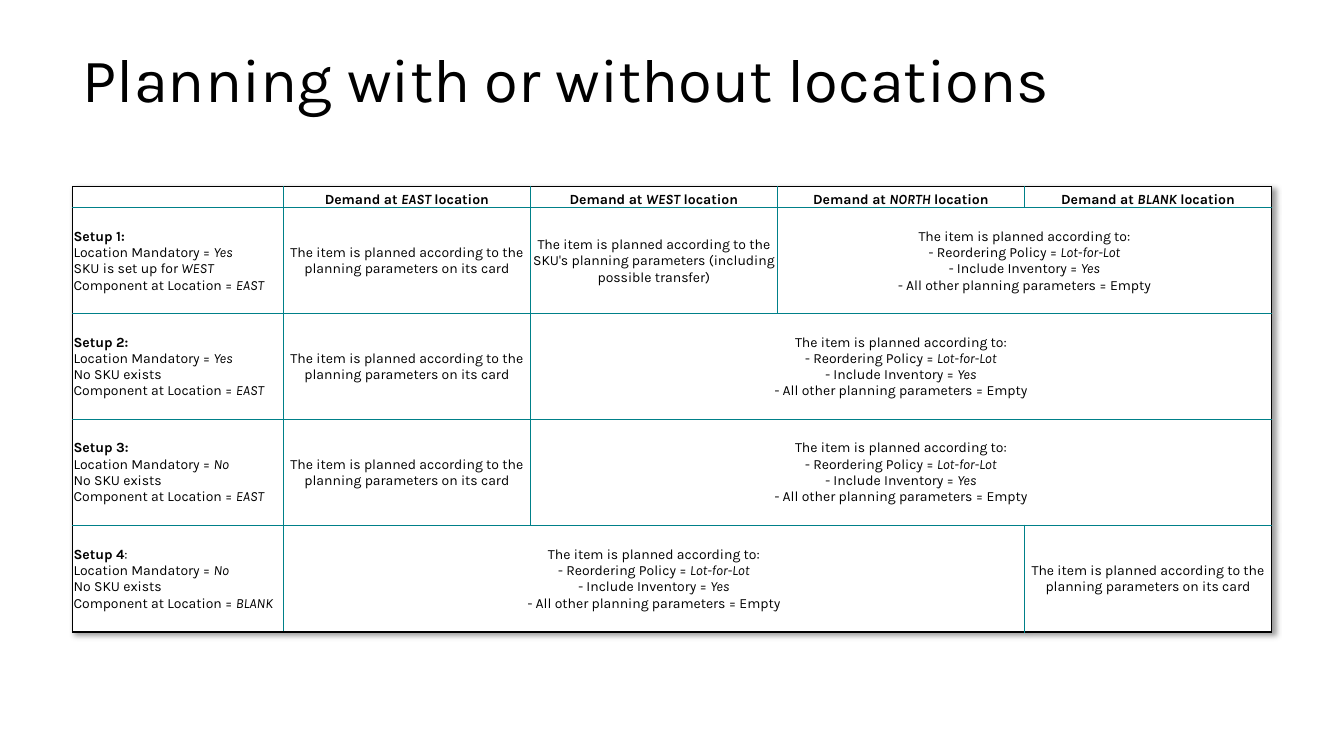
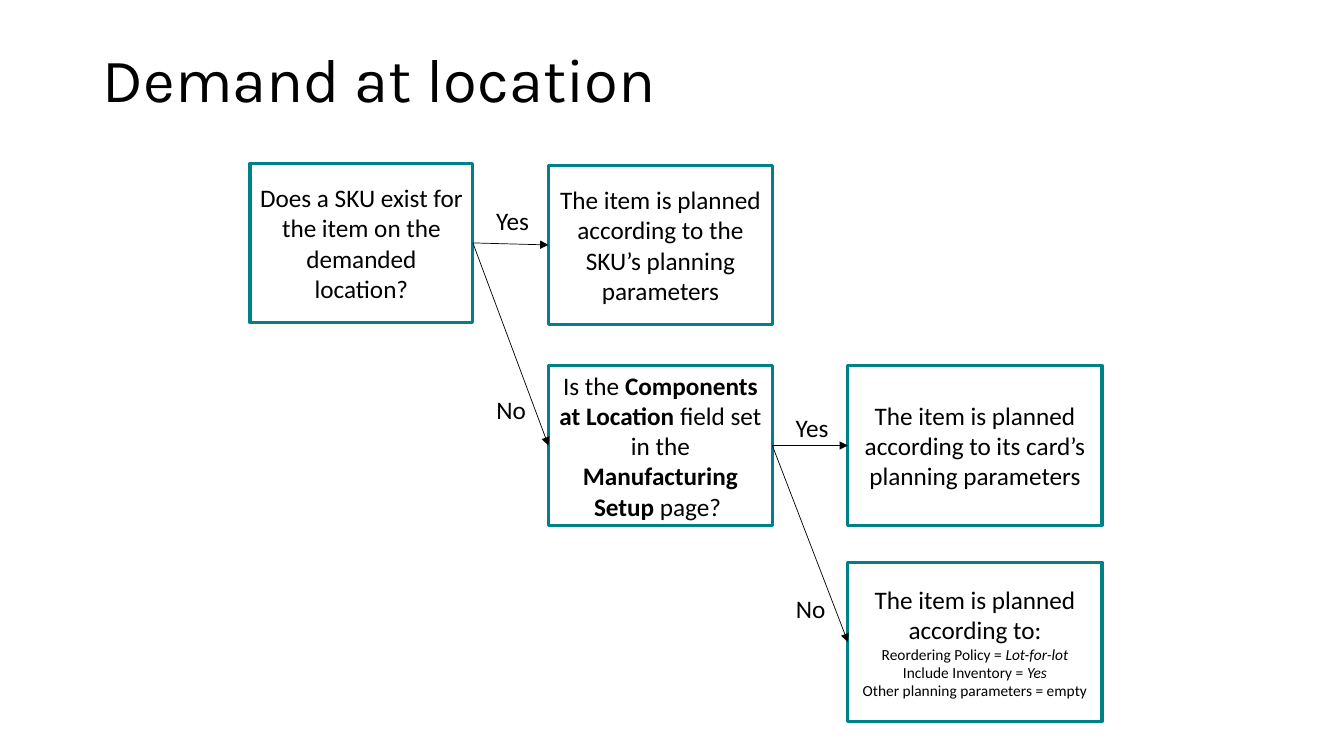
import pptx
import pptx.dml.color
import pptx.enum.shapes
import pptx.enum.text
import pptx.oxml
import pptx.oxml.ns
import pptx.util
from pptx.util import Inches

BLACK = pptx.dml.color.RGBColor(0x00, 0x00, 0x00)
WHITE = pptx.dml.color.RGBColor(0xFF, 0xFF, 0xFF)
TEAL = pptx.dml.color.RGBColor(0x00, 0x80, 0x89)
HEADING_FONT = "Karla"
BODY_FONT = "Calibri"
CENTER = pptx.enum.text.PP_ALIGN.CENTER
LEFT = pptx.enum.text.PP_ALIGN.LEFT
MIDDLE = pptx.enum.text.MSO_ANCHOR.MIDDLE
BOTTOM = pptx.enum.text.MSO_ANCHOR.BOTTOM
RIGHT_SITE, LEFT_SITE = 3, 1

# Planning table: "*" switches bold, "_" switches italic
COLUMN_WIDTHS = [2.09, 2.45, 2.45, 2.45, 2.45]
ROW_HEIGHTS = [0.21, 1.05, 1.05, 1.05, 1.06]
BY_CARD = "The item is planned according to the planning parameters on its card"
BY_SKU = ("The item is planned according to the SKU's planning parameters "
          "(including possible transfer)")
BY_DEFAULT = ("The item is planned according to:\n- Reordering Policy = _Lot-for-Lot_\n"
              "- Include Inventory = _Yes_\n- All other planning parameters = Empty")


def setup(heading, mandatory, sku, component):
    return (f"{heading}\nLocation Mandatory = _{mandatory}_\n{sku}\n"
            f"Component at Location = _{component}_")


# Each row lists (text, columns spanned)
PLANNING_ROWS = [
    [("", 1)] + [(f"*Demand at _{place}_ location*", 1)
                 for place in ("EAST", "WEST", "NORTH", "BLANK")],
    [(setup("*Setup 1:*", "Yes", "SKU is set up for _WEST_", "EAST"), 1),
     (BY_CARD, 1), (BY_SKU, 1), (BY_DEFAULT, 2)],
    [(setup("*Setup 2:*", "Yes", "No SKU exists", "EAST"), 1),
     (BY_CARD, 1), (BY_DEFAULT, 3)],
    [(setup("*Setup 3:*", "No", "No SKU exists", "EAST"), 1),
     (BY_CARD, 1), (BY_DEFAULT, 3)],
    [(setup("*Setup 4*:", "No", "No SKU exists", "BLANK"), 1),
     (BY_DEFAULT, 3), (BY_CARD, 1)],
]


# Text
def style_font(font, name, size):
    font.name = name
    font.size = pptx.util.Pt(size)
    font.color.rgb = BLACK


def write_marked(paragraph, marked):
    """Write text in which * and _ switch bold and italic."""
    bold = italic = False
    piece = ""
    for char in marked + "\0":
        if char not in "*_\n\0":
            piece += char
            continue
        if piece:
            run = paragraph.add_run()
            run.text = piece
            run.font.bold, run.font.italic = bold, italic
            piece = ""
        if char == "\n":
            paragraph.add_line_break()
        bold ^= char == "*"
        italic ^= char == "_"


def add_paragraph(paragraph, marked, name, size, align=CENTER):
    style_font(paragraph.font, name, size)
    paragraph.alignment = align
    write_marked(paragraph, marked)


def add_titled_slide(deck, title, left):
    slide = deck.slides.add_slide(deck.slide_layouts[5])
    heading = slide.shapes.title
    heading.left, heading.top = Inches(left), Inches(0.4)
    heading.width, heading.height = Inches(11.5), Inches(0.83)
    heading.text_frame.text = title
    heading.text_frame.vertical_anchor = MIDDLE
    paragraph = heading.text_frame.paragraphs[0]
    paragraph.alignment = LEFT
    paragraph.line_spacing = 0.9
    style_font(paragraph.font, HEADING_FONT, 44)
    return slide


# Table
def set_borders(cell, colors):
    """Draw the left, right, top and bottom borders, in that order."""
    properties = cell._tc.get_or_add_tcPr()
    for index, (side, color) in enumerate(zip("LRTB", colors)):
        properties.insert(index, pptx.oxml.parse_xml(
            f'<a:ln{side} {pptx.oxml.ns.nsdecls("a")} w="12700"><a:solidFill>'
            f'<a:srgbClr val="{color}"/></a:solidFill></a:ln{side}>'))


def add_table_shadow(table):
    table._tbl.tblPr.insert(0, pptx.oxml.parse_xml(
        f'<a:effectLst {pptx.oxml.ns.nsdecls("a")}>'
        '<a:outerShdw blurRad="50800" dist="38100" dir="2700000" algn="tl">'
        '<a:srgbClr val="000000"><a:alpha val="40000"/></a:srgbClr>'
        '</a:outerShdw></a:effectLst>'))


def fill_cell(cell, text, is_header, is_setup):
    cell.margin_left = cell.margin_right = cell.margin_top = Inches(0.01)
    cell.margin_bottom = 0
    cell.vertical_anchor = BOTTOM if is_header else MIDDLE
    add_paragraph(cell.text_frame.paragraphs[0], text, HEADING_FONT, 10,
                  LEFT if is_setup else CENTER)


def add_planning_table(slide):
    frame = slide.shapes.add_table(
        len(ROW_HEIGHTS), len(COLUMN_WIDTHS), Inches(0.72), Inches(1.85),
        Inches(sum(COLUMN_WIDTHS)), Inches(sum(ROW_HEIGHTS)))
    table = frame.table
    table.first_row = table.horz_banding = False
    for column, width in zip(table.columns, COLUMN_WIDTHS):
        column.width = Inches(width)
    for row, height in zip(table.rows, ROW_HEIGHTS):
        row.height = Inches(height)

    last_row, last_column = len(ROW_HEIGHTS) - 1, len(COLUMN_WIDTHS) - 1
    for r, entries in enumerate(PLANNING_ROWS):
        c = 0
        for text, span in entries:
            end = c + span - 1
            edges = (c == 0, end == last_column, r == 0, r == last_row)
            colors = [BLACK if outer else TEAL for outer in edges]
            for covered in range(c, end + 1):
                cell = table.cell(r, covered)
                cell.fill.solid()
                cell.fill.fore_color.rgb = WHITE
                set_borders(cell, colors)
            if span > 1:
                table.cell(r, c).merge(table.cell(r, end))
            fill_cell(table.cell(r, c), text, r == 0, c == 0)
            c = end + 1
    add_table_shadow(table)


# Decision tree
def add_step(slide, left, top, width, text, details=()):
    step = slide.shapes.add_shape(
        pptx.enum.shapes.MSO_SHAPE.RECTANGLE,
        Inches(left), Inches(top), Inches(width), Inches(1.58))
    step.shadow.inherit = False
    step.fill.solid()
    step.fill.fore_color.rgb = WHITE
    step.line.color.rgb = TEAL
    step.line.width = pptx.util.Pt(2.25)
    body = step.text_frame
    body.word_wrap = True
    body.vertical_anchor = MIDDLE
    add_paragraph(body.paragraphs[0], text, BODY_FONT, 18)
    for detail in details:
        add_paragraph(body.add_paragraph(), detail, BODY_FONT, 11)
    return step


def add_answer(slide, question, outcome, answer, label_top):
    """Join two steps by an arrow and label it with the answer."""
    arrow = slide.shapes.add_connector(
        pptx.enum.shapes.MSO_CONNECTOR.STRAIGHT, 0, 0, 0, 0)
    arrow.begin_connect(question, RIGHT_SITE)
    arrow.end_connect(outcome, LEFT_SITE)
    arrow.line.color.rgb = BLACK
    arrow.line.width = pptx.util.Pt(0.5)
    namespace = pptx.oxml.ns.nsdecls("a")
    arrow.line._get_or_add_ln().append(
        pptx.oxml.parse_xml(f'<a:tailEnd {namespace} type="triangle"/>'))
    arrow._element.spPr.append(pptx.oxml.parse_xml(f"<a:effectLst {namespace}/>"))

    label = slide.shapes.add_textbox(
        question.left + question.width + Inches(0.13), Inches(label_top),
        Inches(0.53 if answer == "Yes" else 0.5), Inches(0.4))
    label.text_frame.word_wrap = False
    label.text_frame.auto_size = pptx.enum.text.MSO_AUTO_SIZE.SHAPE_TO_FIT_TEXT
    add_paragraph(label.text_frame.paragraphs[0], answer, BODY_FONT, 18)


def add_decision_tree(slide):
    sku_question = add_step(slide, 2.48, 1.62, 2.21,
                            "Does a SKU exist for the item on the demanded location?")
    sku_plan = add_step(slide, 5.44, 1.64, 2.22,
                        "The item is planned according to the SKU’s planning parameters")
    setup_question = add_step(
        slide, 5.44, 3.63, 2.22,
        "Is the *Components at Location* field set in the *Manufacturing Setup* page? ")
    card_plan = add_step(slide, 8.41, 3.63, 2.52,
                         "The item is planned according to its card’s planning parameters")
    default_plan = add_step(
        slide, 8.41, 5.58, 2.52, "The item is planned according to:",
        ["Reordering Policy = _Lot-for-lot_", "Include Inventory = _Yes_",
         "Other planning parameters = empty"])

    add_answer(slide, sku_question, sku_plan, "Yes", 1.99)
    add_answer(slide, sku_question, setup_question, "No", 3.86)
    add_answer(slide, setup_question, card_plan, "Yes", 4.04)
    add_answer(slide, setup_question, default_plan, "No", 5.84)


def main():
    deck = pptx.Presentation()
    deck.slide_width, deck.slide_height = Inches(13.33), Inches(7.5)
    add_planning_table(add_titled_slide(deck, "Planning with or without locations", 0.72))
    add_decision_tree(add_titled_slide(deck, "Demand at location", 0.92))
    deck.save("out.pptx")


if __name__ == "__main__":
    main()
